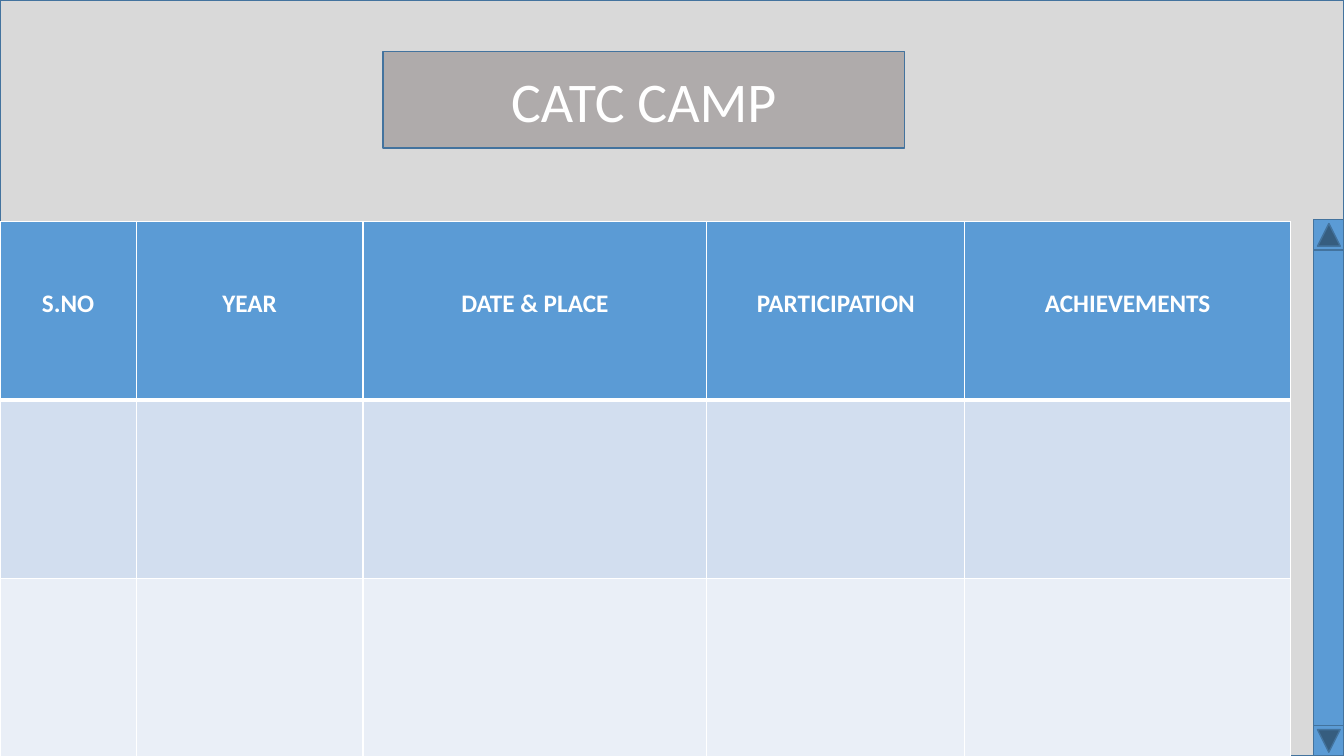
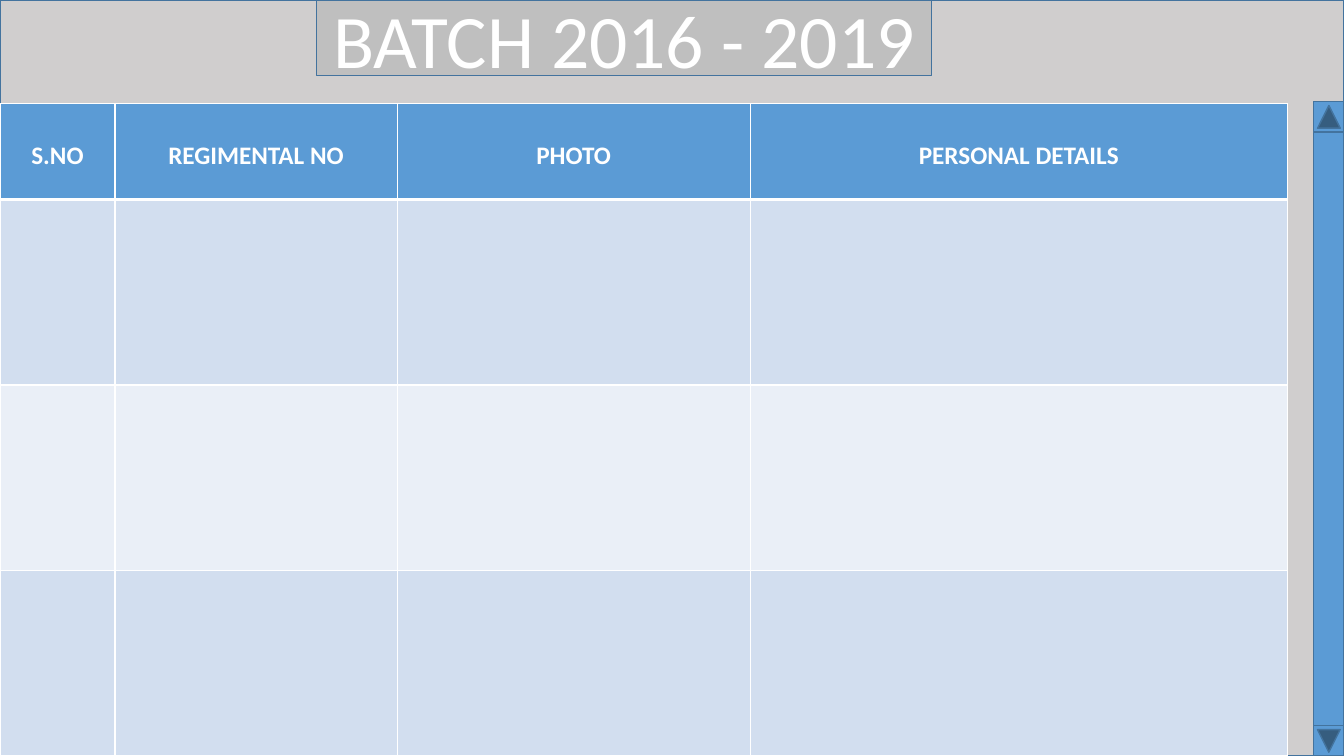
from lxml import etree
from pptx import Presentation
from pptx import util as u
from pptx.dml.color import RGBColor
from pptx.enum import shapes, text
from pptx.oxml import ns

# Content and measures, in inches and points
SLIDES = [
    {
        "title": "CATC CAMP", "title_size": 40, "title_box": (3.8, 0.51, 5.17, 0.96),
        "background": RGBColor(0xD9, 0xD9, 0xD9), "title_fill": RGBColor(0xAF, 0xAB, 0xAB),
        "columns": [("S.NO", 1.35), ("YEAR", 2.25), ("DATE & PLACE", 3.41),
                    ("PARTICIPATION", 2.56), ("ACHIEVEMENTS", 3.23)],
        "table_top": 2.2, "row_heights": [1.77] * 3, "header_margin": 0.66,
    },
    {
        "title": "BATCH 2016 - 2019", "title_size": 54, "title_box": (3.14, 0, 6.1, 0.75),
        "background": RGBColor(0xD0, 0xCE, 0xCE), "title_fill": RGBColor(0xBF, 0xBF, 0xBF),
        "columns": [("S.NO", 1.14), ("REGIMENTAL NO", 2.8), ("PHOTO", 3.5),
                    ("PERSONAL DETAILS", 5.33)],
        "table_top": 1.03, "row_heights": [0.95] + [1.84] * 3, "header_margin": 0.36,
    },
]

# Shared style
WIDTH, HEIGHT = 13.33, 7.5
FONT = "Calibri"
WHITE = RGBColor(0xFF, 0xFF, 0xFF)
BLUE = RGBColor(0x5B, 0x9B, 0xD5)
OUTLINE = RGBColor(0x43, 0x73, 0x9E)
BANDS = [RGBColor(0xD2, 0xDE, 0xEF), RGBColor(0xEA, 0xEF, 0xF7)]
SCROLL_LEFT, SCROLL_WIDTH, BUTTON_HEIGHT = 13.03, 0.3, 0.3


def paint(shape, fill):
    shape.fill.solid()
    shape.fill.fore_color.rgb = fill
    shape.line.color.rgb = OUTLINE
    shape.line.width = u.Pt(1)


def add_box(slide, kind, box, fill, rotation=0):
    shape = slide.shapes.add_shape(kind, *map(u.Inches, box))
    shape.shadow.inherit = False
    paint(shape, fill)
    shape.rotation = rotation
    return shape


def write(text_frame, words, size, bold):
    text_frame.text = words
    paragraph = text_frame.paragraphs[0]
    paragraph.alignment = text.PP_ALIGN.CENTER
    font = paragraph.runs[0].font
    font.name, font.size, font.bold = FONT, u.Pt(size), bold
    font.color.rgb = WHITE


def add_title(slide, content):
    title = slide.shapes.title
    title.left, title.top, title.width, title.height = map(u.Inches, content["title_box"])
    paint(title, content["title_fill"])
    write(title.text_frame, content["title"], content["title_size"], False)
    title.text_frame.auto_size = text.MSO_AUTO_SIZE.NONE
    title.text_frame.vertical_anchor = text.MSO_ANCHOR.MIDDLE


def set_borders(cell, bottom_width):
    properties = cell._tc.get_or_add_tcPr()
    widths = {"a:lnL": 1, "a:lnR": 1, "a:lnT": 1, "a:lnB": bottom_width}
    for position, (side, width) in enumerate(widths.items()):
        line = etree.Element(ns.qn(side), w=str(u.Pt(width)))
        fill = etree.SubElement(line, ns.qn("a:solidFill"))
        etree.SubElement(fill, ns.qn("a:srgbClr"), val=str(WHITE))
        properties.insert(position, line)


def add_table(slide, content):
    columns, heights = content["columns"], content["row_heights"]
    frame = slide.shapes.add_table(
        len(heights), len(columns), 0, u.Inches(content["table_top"]),
        u.Inches(sum(width for _, width in columns)), u.Inches(sum(heights)))
    table = frame.table
    for row, height in zip(table.rows, heights):
        row.height = u.Inches(height)
    for index, (heading, width) in enumerate(columns):
        table.columns[index].width = u.Inches(width)
        header = table.cell(0, index)
        write(header.text_frame, heading, 18, True)
        header.margin_top = u.Inches(content["header_margin"])
        for row_index in range(len(heights)):
            cell = table.cell(row_index, index)
            cell.fill.solid()
            cell.fill.fore_color.rgb = BANDS[(row_index - 1) % 2] if row_index else BLUE
            set_borders(cell, 1 if row_index else 3)


def add_scroll_bar(slide, top):
    add_box(slide, shapes.MSO_SHAPE.RECTANGLE,
            (SCROLL_LEFT, top, SCROLL_WIDTH, HEIGHT - top), BLUE)
    for button_top, rotation in ((top, 90), (HEIGHT - BUTTON_HEIGHT, 270)):
        add_box(slide, shapes.MSO_SHAPE.ACTION_BUTTON_BACK_OR_PREVIOUS,
                (SCROLL_LEFT, button_top, SCROLL_WIDTH, BUTTON_HEIGHT), BLUE, rotation)


# Build the slides
presentation = Presentation()
presentation.slide_width = u.Inches(WIDTH)
presentation.slide_height = u.Inches(HEIGHT)
title_only = presentation.slide_layouts[5]

for content in SLIDES:
    slide = presentation.slides.add_slide(title_only)
    backdrop = add_box(slide, shapes.MSO_SHAPE.RECTANGLE, (0, 0, WIDTH, HEIGHT),
                       content["background"])
    slide.shapes.title.element.addprevious(backdrop.element)
    add_title(slide, content)
    add_table(slide, content)
    add_scroll_bar(slide, content["table_top"] - 0.02)

presentation.save("out.pptx")
